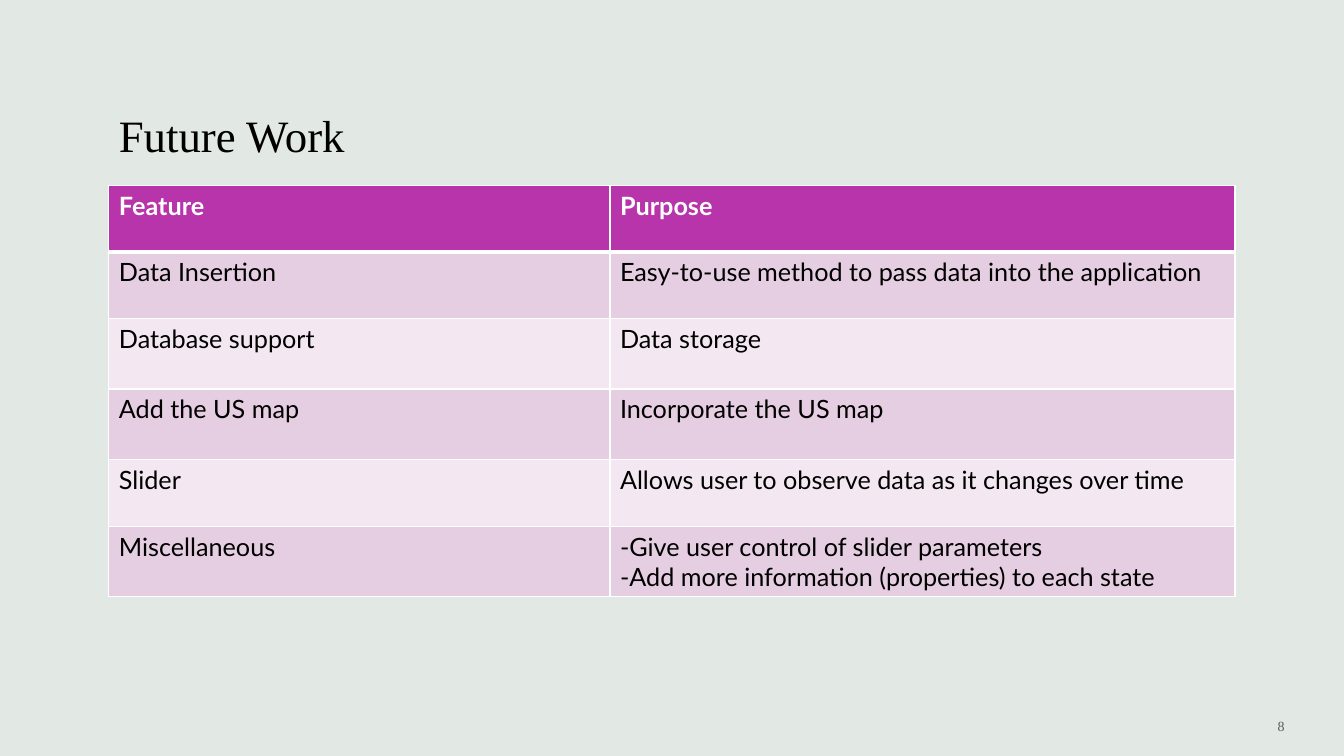
from lxml.etree import SubElement
from pptx import Presentation
from pptx.dml.color import RGBColor
from pptx.enum.text import MSO_ANCHOR, PP_ALIGN
from pptx.oxml.ns import qn
from pptx.util import Inches, Pt

BACKGROUND = RGBColor(0xE2, 0xE8, 0xE3)
BLACK = RGBColor(0, 0, 0)
WHITE = RGBColor(0xFF, 0xFF, 0xFF)
HEADER = RGBColor(0xB8, 0x34, 0xAA)
BANDS = [RGBColor(0xF3, 0xE8, 0xF1), RGBColor(0xE6, 0xCE, 0xE2)]
SERIF, SANS = "Times New Roman", "Lato"

deck = Presentation()
deck.slide_width, deck.slide_height = Inches(13.33), Inches(7.5)
slide = deck.slides.add_slide(deck.slide_layouts[6])
slide.background.fill.solid()
slide.background.fill.fore_color.rgb = BACKGROUND

# Page grid
margin = Inches(1.08)
content_width = deck.slide_width - 2 * margin


def write(frame, text, font=SANS, size=18, color=BLACK, bold=False,
          align=PP_ALIGN.LEFT, anchor=MSO_ANCHOR.TOP):
    """Fill a text frame, one paragraph for each line of text."""
    frame.word_wrap = True
    frame.vertical_anchor = anchor
    frame.text = text
    for paragraph in frame.paragraphs:
        paragraph.alignment = align
        style = paragraph.runs[0].font
        style.name, style.size, style.bold = font, Pt(size), bold
        style.color.rgb = color


def add_border(cell, side, width):
    line = SubElement(cell._tc.get_or_add_tcPr(), qn(f"a:{side}"), w=str(Pt(width)))
    SubElement(SubElement(line, qn("a:solidFill")), qn("a:srgbClr"), val=str(WHITE))


# Title
title = slide.shapes.add_textbox(margin, Inches(0.43), content_width, Inches(1.22))
write(title.text_frame, "Future Work", font=SERIF, size=32, anchor=MSO_ANCHOR.BOTTOM)

# Feature table
features = [
    ("Feature", "Purpose", 0.66),
    ("Data Insertion", "Easy-to-use method to pass data into the application", 0.66),
    ("Database support", "Data storage", 0.7),
    ("Add the US map", "Incorporate the US map", 0.7),
    ("Slider", "Allows user to observe data as it changes over time", 0.66),
    ("Miscellaneous", "-Give user control of slider parameters\n"
                      "-Add more information (properties) to each state", 0.7),
]
table_height = Inches(sum(height for *_, height in features))
table = slide.shapes.add_table(len(features), 2, margin, Inches(1.84),
                               content_width, table_height).table
table.first_row = table.horz_banding = False
table.columns[0].width = Inches(4.97)
table.columns[1].width = content_width - table.columns[0].width

for row, (feature, purpose, height) in enumerate(features):
    table.rows[row].height = Inches(height)
    is_header = row == 0
    for column, text in enumerate((feature, purpose)):
        cell = table.cell(row, column)
        add_border(cell, "lnL", 1)
        add_border(cell, "lnR", 1)
        add_border(cell, "lnT", 3 if row == 1 else 1)
        add_border(cell, "lnB", 3 if is_header else 1)
        cell.fill.solid()
        cell.fill.fore_color.rgb = HEADER if is_header else BANDS[row % 2]
        write(cell.text_frame, text, color=WHITE if is_header else BLACK, bold=is_header)

# Page number, 60 % opaque
number_width = Inches(1.92)
page_number = slide.shapes.add_textbox(deck.slide_width - Inches(0.49) - number_width,
                                       Inches(6.95), number_width, Inches(0.5))
write(page_number.text_frame, "8", font=SERIF, size=10,
      align=PP_ALIGN.RIGHT, anchor=MSO_ANCHOR.MIDDLE)
number_color = next(page_number.text_frame._txBody.iter(qn("a:srgbClr")))
SubElement(number_color, qn("a:alpha"), val="60000")

deck.save("out.pptx")
